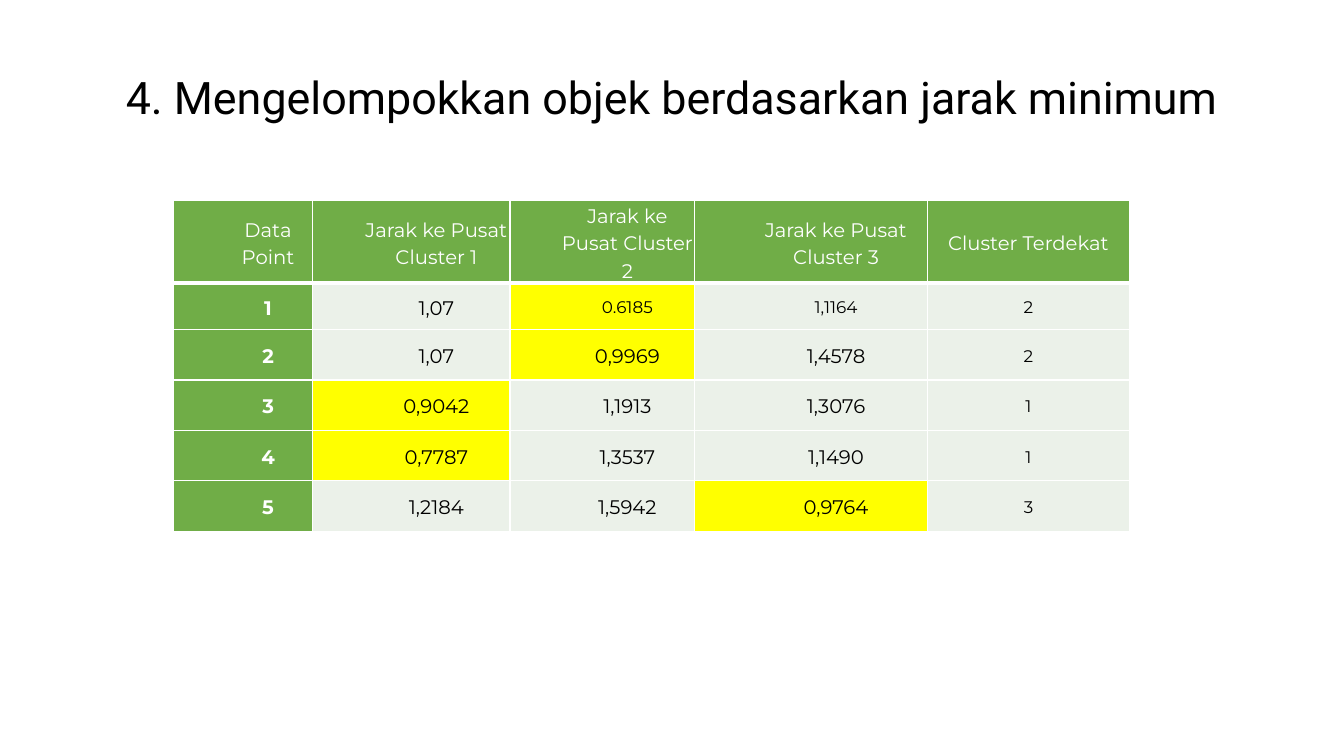
from lxml import etree
from pptx import Presentation
from pptx.dml.color import RGBColor
from pptx.enum.text import MSO_ANCHOR, MSO_AUTO_SIZE, PP_ALIGN
from pptx.oxml.ns import qn
from pptx.util import Pt

COLORS = {"black": "000000", "white": "FFFFFF", "green": "70AD47",
          "pale": "EBF1E9", "yellow": "FFFF00"}

HEADER = ["Data Point", "Jarak ke Pusat Cluster 1", "Jarak ke Pusat Cluster 2",
          "Jarak ke Pusat Cluster 3", "Cluster Terdekat"]
DISTANCES = [
    ["1", "1,07", "0.6185", "1,1164", "2"],
    ["2", "1,07", "0,9969", "1,4578", "2"],
    ["3", "0,9042", "1,1913", "1,3076", "1"],
    ["4", "0,7787", "1,3537", "1,1490", "1"],
    ["5", "1,2184", "1,5942", "0,9764", "3"],
]
COL_WIDTHS = [99.4, 141.1, 131.8, 166.3, 144.7]
ROW_HEIGHTS = [59, 33.1, 36, 36, 36, 36]
LAST_COL = len(HEADER) - 1


def add_run(p, text, font, size, color, bold=False):
    r = p.add_run()
    r.text = text
    r.font.name = font
    r.font.size = Pt(size)
    r.font.bold = bold
    r.font.color.rgb = RGBColor.from_string(COLORS[color])


def add_border(cell, side, width):
    ln = etree.SubElement(cell._tc.get_or_add_tcPr(), qn(f"a:ln{side}"), w=str(Pt(width)))
    fill = etree.SubElement(ln, qn("a:solidFill"))
    etree.SubElement(fill, qn("a:srgbClr"), val=COLORS["white"])


prs = Presentation()
prs.slide_width, prs.slide_height = Pt(960), Pt(540)
s = prs.slides.add_slide(prs.slide_layouts[6])

# Title
sp = s.shapes.add_textbox(Pt(82.8), Pt(46.1), Pt(859.7), Pt(46.1))
tf = sp.text_frame
tf.word_wrap = True
tf.auto_size = MSO_AUTO_SIZE.SHAPE_TO_FIT_TEXT
add_run(tf.paragraphs[0], "4. Mengelompokkan objek berdasarkan jarak minimum",
        "Roboto", 32, "black")

# Distance table
table = s.shapes.add_table(len(ROW_HEIGHTS), len(COL_WIDTHS), Pt(123.8), Pt(143.3),
                           Pt(sum(COL_WIDTHS)), Pt(sum(ROW_HEIGHTS))).table
for column, width in zip(table.columns, COL_WIDTHS):
    column.width = Pt(width)
for row, height in zip(table.rows, ROW_HEIGHTS):
    row.height = Pt(height)

for i, values in enumerate([HEADER] + DISTANCES):
    for j, text in enumerate(values):
        cell = table.cell(i, j)
        is_label = i == 0 or j == 0

        # Borders, heavier below the header
        for side in "LRTB":
            heavy = (i, side) in [(0, "B"), (1, "T")]
            add_border(cell, side, 3 if heavy else 1)

        # Fill: the nearest cluster of each point is highlighted
        if is_label:
            fill = "green"
        elif j < LAST_COL and j == int(values[-1]):
            fill = "yellow"
        else:
            fill = "pale"
        cell.fill.solid()
        cell.fill.fore_color.rgb = RGBColor.from_string(COLORS[fill])

        # Text
        cell.vertical_anchor = MSO_ANCHOR.MIDDLE
        cell.margin_left = cell.margin_right = cell.margin_top = cell.margin_bottom = 0
        p = cell.text_frame.paragraphs[0]
        p.alignment = PP_ALIGN.CENTER
        p.line_spacing = 1.15
        if j >= 3:
            p.space_after = Pt(8)
        if j < LAST_COL:
            p._p.get_or_add_pPr().set("marL", str(Pt(36)))
        small = i > 0 and (j == LAST_COL or (i == 1 and j >= 2))
        add_run(p, text, "Montserrat", 12 if small else 14,
                "white" if is_label else "black", bold=i > 0 and j == 0)

prs.save("out.pptx")
